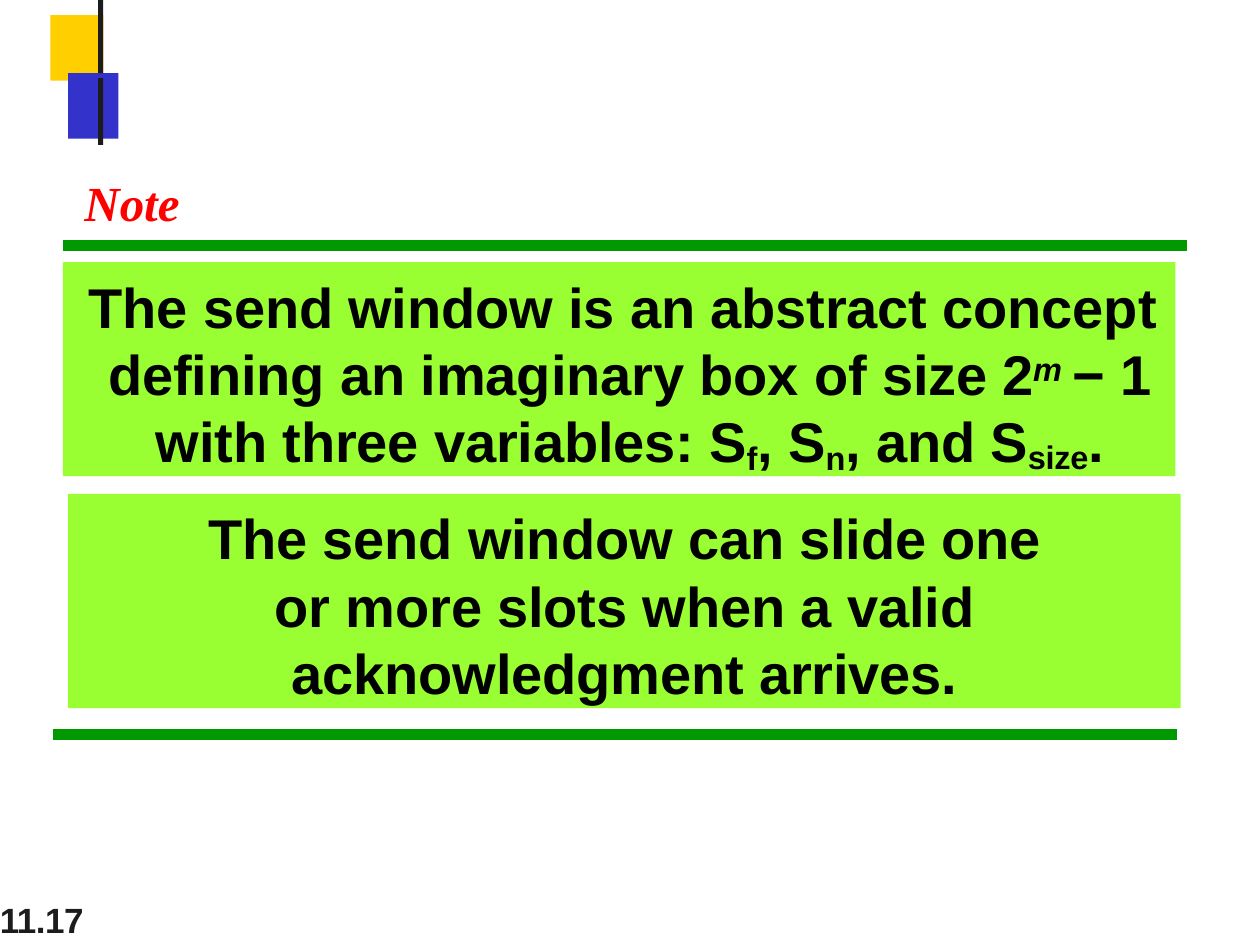
"""Build the slide with the note on the send window."""
from dataclasses import dataclass

from lxml.etree import SubElement
from pptx import Presentation
from pptx.dml.color import RGBColor
from pptx.enum.shapes import MSO_CONNECTOR, MSO_SHAPE
from pptx.enum.text import MSO_ANCHOR, PP_ALIGN
from pptx.oxml.ns import qn
from pptx.util import Inches, Pt

BLACK, DARK, RED = "000000", "1C1C1C", "FF0000"
YELLOW, BLUE, GREEN, LIME = "FFCF00", "3333CC", "009900", "99FF33"
BODY = {"name": "Arial", "size": Pt(32), "bold": True}
NUMBER = {"name": "Arial", "size": Pt(20), "bold": True}
NOTE = {"name": "Times New Roman", "size": Pt(28), "bold": True, "italic": True}


@dataclass
class Box:
    left: float
    top: float
    width: float
    height: float
    fill: str = ""


@dataclass
class Piece:
    text: str
    baseline: int = 0
    italic: bool = False
    spacing: float = -0.1


@dataclass
class Label:
    box: Box
    pieces: list[Piece]
    font: dict
    color: str
    inset: float = 0
    indent: float = 0
    alignment: PP_ALIGN = PP_ALIGN.LEFT


@dataclass
class Rule:
    left: float
    top: float
    length: float = 8.92


ORNAMENTS = [
    Box(0.4, 0.12, 0.42, 0.52, YELLOW),
    Box(0.54, 0.58, 0.4, 0.52, BLUE),
    Box(0.78, 0, 0.04, 0.58, DARK),
    Box(0.78, 0.62, 0.04, 0.53, DARK),
]
RULES = [Rule(0.5, 1.95), Rule(0.42, 5.83)]
CONCEPT = [
    Piece("The send window is an abstract concept \vdefining an imaginary box of size 2"),
    Piece("m ", 25, True, 0.4),
    Piece("− 1\vwith three variables: S"),
    Piece("f", -15),
    Piece(", S"),
    Piece("n", -15),
    Piece(", and S"),
    Piece("size", -13),
    Piece("."),
]
SLIDING = [Piece("The send window can slide one\vor more slots when a valid\vacknowledgment arrives.")]
LABELS = [
    Label(Box(0.5, 2.08, 8.83, 1.7, LIME), CONCEPT, BODY, BLACK, 0.08, 0.17, PP_ALIGN.CENTER),
    Label(Box(0, 7.13, 0.73, 0.34), [Piece("11.17", spacing=-0.3)], NUMBER, DARK),
    Label(Box(0.67, 1.33, 0.79, 0.5), [Piece("Note", spacing=0)], NOTE, RED, 0.04),
    Label(Box(0.54, 3.92, 8.83, 1.7, LIME), SLIDING, BODY, BLACK, 0.08, 0, PP_ALIGN.CENTER),
]


def hex_color(value: str) -> RGBColor:
    return RGBColor.from_string(value)


def set_all(target, values: dict) -> None:
    for name, value in values.items():
        setattr(target, name, value)


def add_box(slide, box: Box):
    place = [Inches(value) for value in (box.left, box.top, box.width, box.height)]
    if not box.fill:
        return slide.shapes.add_textbox(*place)
    shape = slide.shapes.add_shape(MSO_SHAPE.RECTANGLE, *place)
    shape.shadow.inherit = False
    shape.fill.solid()
    shape.fill.fore_color.rgb = hex_color(box.fill)
    shape.line.fill.background()
    return shape


def add_rule(slide, rule: Rule) -> None:
    top = Inches(rule.top)
    connector = slide.shapes.add_connector(
        MSO_CONNECTOR.STRAIGHT, Inches(rule.left), top, Inches(rule.left + rule.length), top)
    connector.line.color.rgb = hex_color(GREEN)
    connector.line.width = Pt(6)
    SubElement(connector._element.spPr, qn("a:effectLst"))


def add_piece(paragraph, piece: Piece, label: Label) -> None:
    for index, line in enumerate(piece.text.split("\v")):
        if index:
            paragraph.add_line_break()
        run = paragraph.add_run()
        run.text = line
        set_all(run.font, label.font)
        run.font.color.rgb = hex_color(label.color)
        if piece.italic:
            run.font.italic = True
        properties = run._r.get_or_add_rPr()
        properties.set("spc", str(round(piece.spacing * 100)))
        if piece.baseline:
            properties.set("baseline", str(piece.baseline * 1000))


def add_label(slide, label: Label) -> None:
    frame = add_box(slide, label.box).text_frame
    set_all(frame, {
        "word_wrap": True,
        "vertical_anchor": MSO_ANCHOR.TOP,
        "margin_left": Inches(label.indent),
        "margin_top": Inches(label.inset),
        "margin_right": 0,
        "margin_bottom": 0,
    })
    paragraph = frame.paragraphs[0]
    paragraph.alignment = label.alignment
    for piece in label.pieces:
        add_piece(paragraph, piece, label)


def main() -> None:
    presentation = Presentation()
    set_all(presentation, {"slide_width": Inches(10), "slide_height": Inches(7.5)})
    slide = presentation.slides.add_slide(presentation.slide_layouts[6])
    for ornament in ORNAMENTS:
        add_box(slide, ornament)
    for rule in RULES:
        add_rule(slide, rule)
    for label in LABELS:
        add_label(slide, label)
    presentation.save("out.pptx")


if __name__ == "__main__":
    main()
